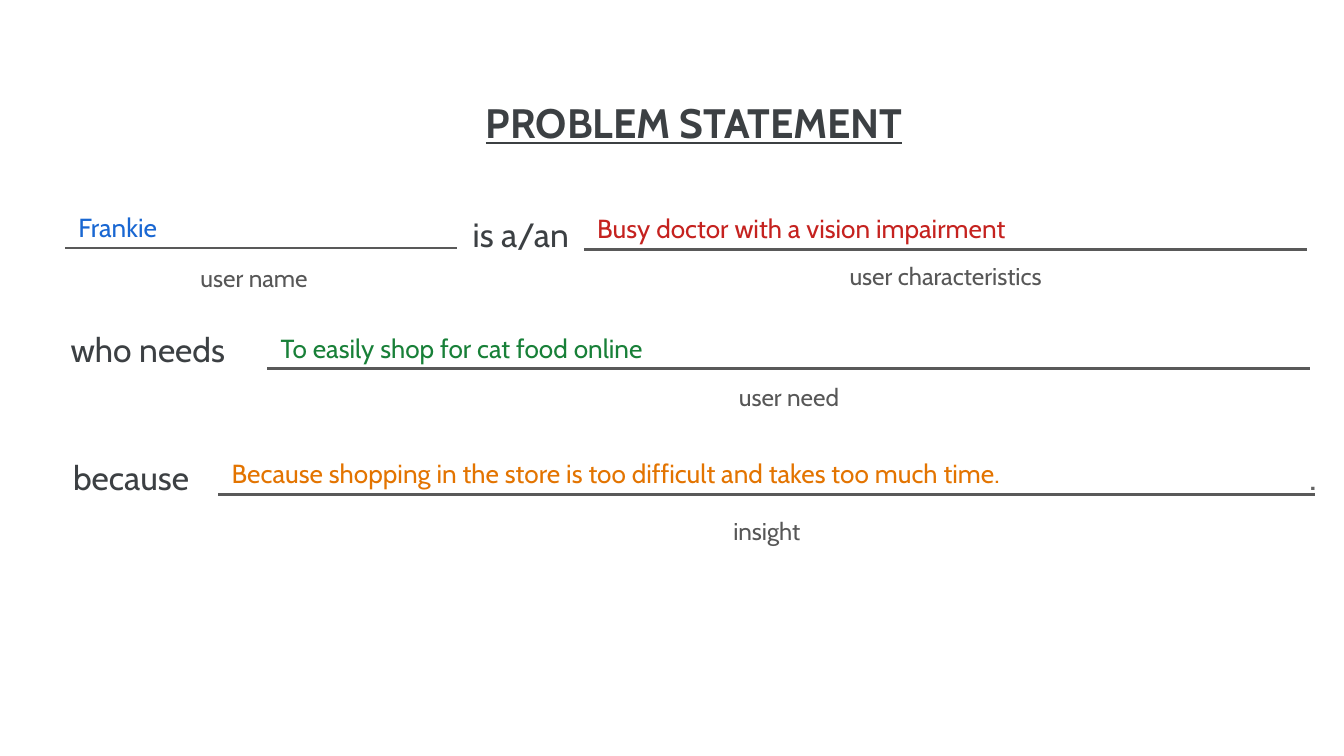
from dataclasses import dataclass

from pptx import Presentation
from pptx.dml.color import RGBColor
from pptx.enum.shapes import MSO_CONNECTOR
from pptx.enum.text import MSO_ANCHOR, MSO_AUTO_SIZE, PP_ALIGN
from pptx.oxml.ns import qn
from pptx.util import Pt

PX = 4572  # EMU per px, 200 px to the inch


@dataclass(frozen=True)
class Theme:
    font: str = "Cabin"
    ink: str = "3C4043"
    hint: str = "575757"
    stop: str = "646464"
    rule: str = "595959"
    blue: str = "1967D2"
    red: str = "C5221F"
    green: str = "188038"
    orange: str = "E37400"
    title_size: int = 22
    stop_size: int = 20
    label_size: int = 18
    answer_size: int = 14
    hint_size: int = 13
    rule_width: float = 1.5


THEME = Theme()
ANSWER_HEIGHT = 82

# Blanks: rule left, right and y, answer, colour, hint, hint box
BLANKS = [
    (97, 680, 369, "Frankie", THEME.blue,
     "user name", (86, 372, 584, 70)),
    (869, 1945, 371, "Busy doctor with a vision impairment", THEME.red,
     "user characteristics", (869, 369, 1076, 70)),
    (398, 1950, 549, "To easily shop for cat food online", THEME.green,
     "user need", (398, 549, 1552, 104)),
    (325, 1957, 736,
     "Because shopping in the store is too difficult and takes too much time.",
     THEME.orange, "insight", (325, 748, 1632, 126)),
]

# Connecting words: text, box, inset
LABELS = [
    ("is a/an", (680, 308, 190, 80), 10),
    ("who needs", (17, 470, 406, 126), 20),
    ("because", (17, 660, 356, 108), 20),
]


def write(box, text, *, size, color, align=PP_ALIGN.CENTER, inset=20,
          bold=False, underline=False, spacing=1.0, after=0):
    frame = box.text_frame
    frame.word_wrap = True
    frame.auto_size = MSO_AUTO_SIZE.NONE
    frame.vertical_anchor = MSO_ANCHOR.TOP
    frame.margin_left = frame.margin_right = inset * PX
    frame.margin_top = frame.margin_bottom = inset * PX
    para = frame.paragraphs[0]
    para.alignment = align
    para.line_spacing = spacing
    para.space_after = Pt(after)
    span = para.add_run()
    span.text = text
    span.font.name = THEME.font
    span.font.size = Pt(size)
    span.font.bold = bold
    span.font.underline = underline
    span.font.color.rgb = RGBColor.from_string(color)


def add_text(page, place, text, **style):
    box = page.shapes.add_textbox(*(length * PX for length in place))
    write(box, text, **style)


def add_title(page, place, text):
    title = page.shapes.title
    title.left, title.top, title.width, title.height = (n * PX for n in place)
    write(title, text, size=THEME.title_size, color=THEME.ink,
          bold=True, underline=True)


def add_rule(page, left, right, y):
    rule = page.shapes.add_connector(
        MSO_CONNECTOR.STRAIGHT, left * PX, y * PX, right * PX, y * PX)
    rule.line.color.rgb = RGBColor.from_string(THEME.rule)
    rule.line.width = Pt(THEME.rule_width)
    properties = rule._element.spPr
    properties.append(properties.makeelement(qn("a:effectLst"), {}))


def add_blank(page, left, right, y, answer, color, hint, hint_place):
    add_text(page, hint_place, hint, size=THEME.hint_size, color=THEME.hint)
    add_rule(page, left, right, y)
    add_text(page, (left, y - ANSWER_HEIGHT, right - left, ANSWER_HEIGHT),
             answer, size=THEME.answer_size, color=color,
             align=PP_ALIGN.LEFT, spacing=1.15, after=12)


def main():
    deck = Presentation()
    deck.slide_width, deck.slide_height = 2000 * PX, 1125 * PX
    page = deck.slides.add_slide(deck.slide_layouts[5])

    # Heading
    add_title(page, (86, 125, 1894, 108), "PROBLEM STATEMENT")

    # Connecting words and the closing full stop
    for text, place, inset in LABELS:
        add_text(page, place, text, size=THEME.label_size, color=THEME.ink,
                 inset=inset)
    add_text(page, (1938, 664, 64, 88), ".", size=THEME.stop_size,
             color=THEME.stop, align=PP_ALIGN.LEFT, inset=10)

    # Filled-in blanks
    for blank in BLANKS:
        add_blank(page, *blank)

    deck.save("out.pptx")


if __name__ == "__main__":
    main()
